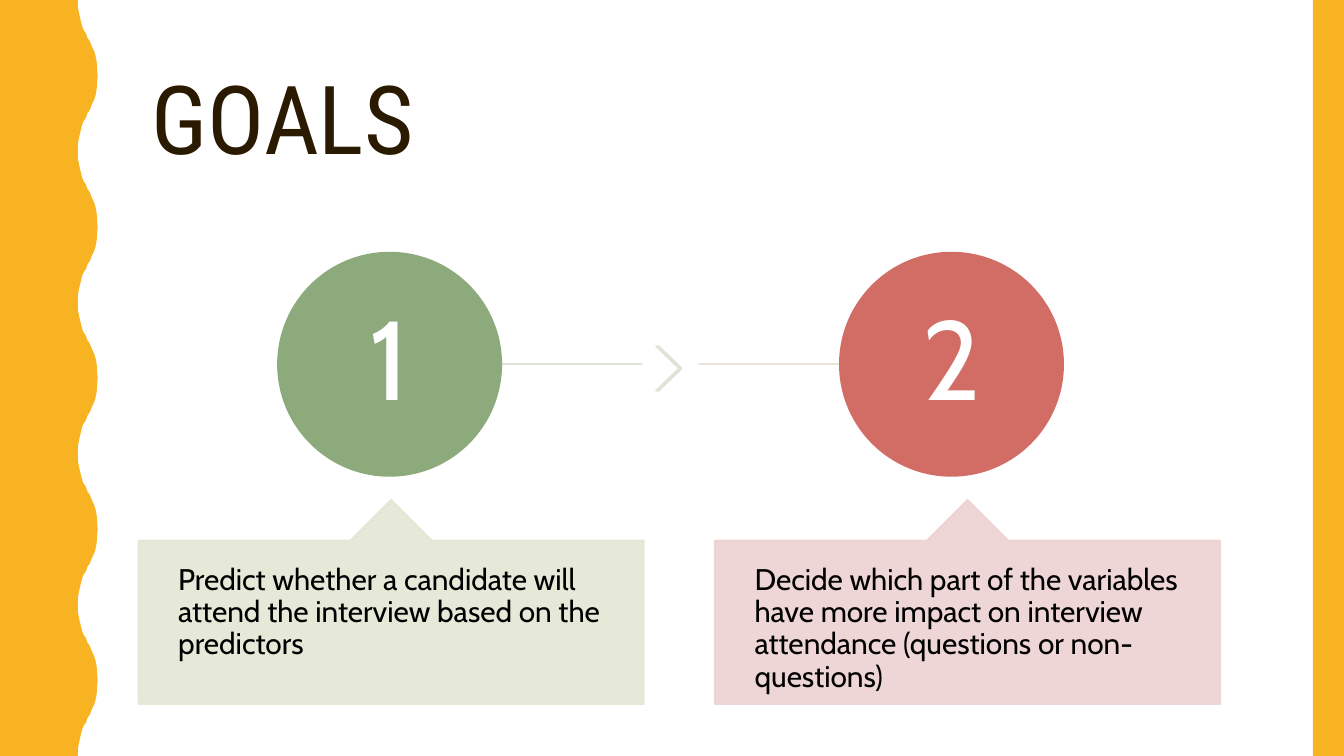
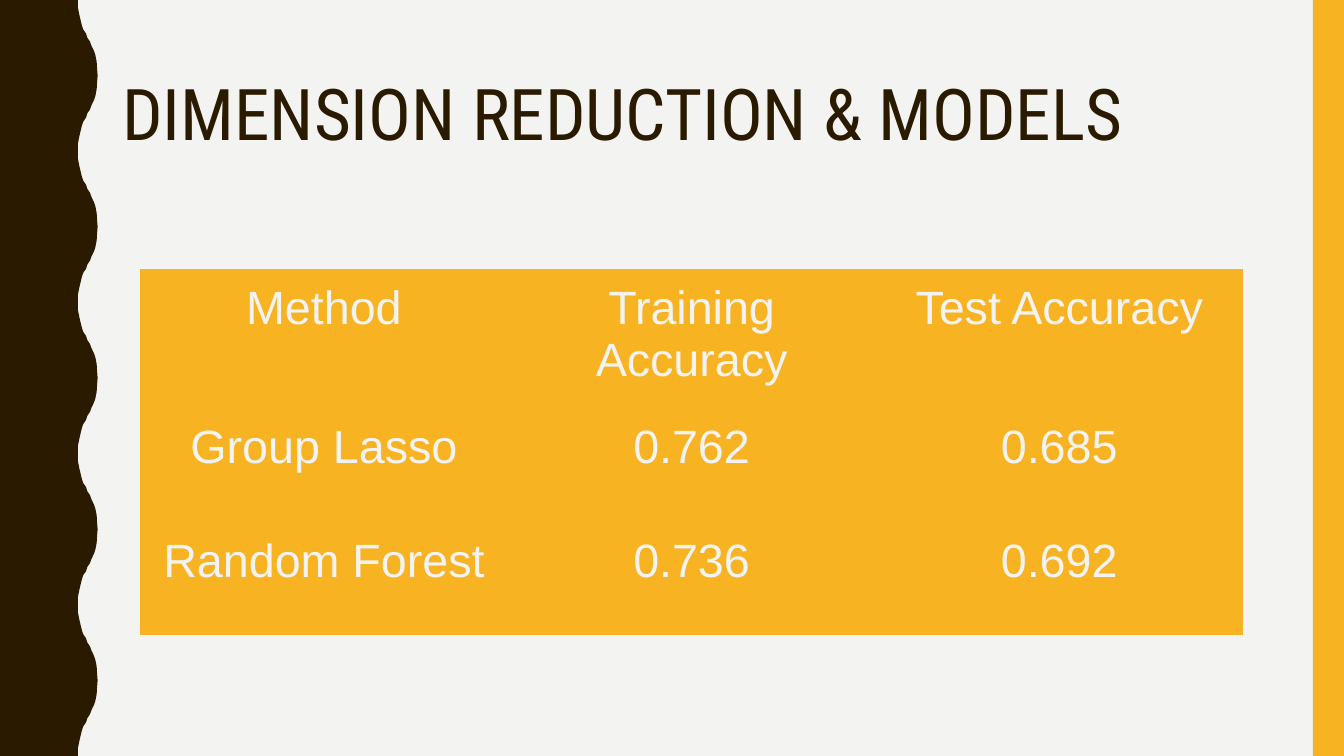
import lxml.etree
import pptx
import pptx.dml.color
import pptx.enum.shapes
import pptx.enum.text
import pptx.oxml.ns
import pptx.util

Pt = pptx.util.Pt
RGB = pptx.dml.color.RGBColor
SHAPE = pptx.enum.shapes.MSO_SHAPE
ANCHOR = pptx.enum.text.MSO_ANCHOR
ALIGN = pptx.enum.text.PP_ALIGN
qn = pptx.oxml.ns.qn

WHITE = RGB(0xFF, 0xFF, 0xFF)
BLACK = RGB(0, 0, 0)
BROWN = RGB(0x2A, 0x1A, 0x00)
AMBER = RGB(0xF8, 0xB3, 0x23)
PALE = RGB(0xF3, 0xF3, 0xF2)
GREEN = RGB(0x8C, 0xAA, 0x7C)
RED = RGB(0xD2, 0x6D, 0x66)
PALE_GREEN = RGB(0xE5, 0xE7, 0xD4)
PALE_RED = RGB(0xEE, 0xD2, 0xD2)
LINE_GREEN = RGB(0xDA, 0xE2, 0xD7)
LINE_SAND = RGB(0xE9, 0xE1, 0xD3)
CHEVRON = RGB(0xDD, 0xE4, 0xD5)

TITLE_FONT = "Roboto Condensed"
BODY_FONT = "Cabin"
TABLE_FONT = "Arial"

W, H = 720, 405
BAR_W = 16.7
WAVE_COUNT = 5
WAVE_H = H / WAVE_COUNT
HALF_WAVE = [(41.8, 0), (41.8, 4.3), (42.5, 7.9), (43.2, 10.8), (43.9, 13.7),
             (44.6, 15.8), (46.1, 18), (46.8, 20.2), (48.2, 22.3), (49, 24.5),
             (50.4, 27.4), (51.1, 29.5), (51.8, 33.1), (52, 36.7), (52.3, 40.5)]

GOALS = [
    dict(number="1", color=GREEN, pale=PALE_GREEN, circle=149, box=74.2,
         text="Predict whether a candidate will attend the interview "
              "based on the predictors"),
    dict(number="2", color=RED, pale=PALE_RED, circle=450, box=383,
         text="Decide which part of the variables have more impact on "
              "interview attendance (questions or non-questions)"),
]
LINKS = [(224, 344, LINE_GREEN), (374.4, 509.8, LINE_SAND)]
LINK_Y = 195
CIRCLE_Y, CIRCLE_D, NUMBER_PAD = 135.4, 119.5, 17.3
BOX_Y, BOX_W, BOX_H, POINTER_H = 267.8, 270.7, 109.4, 21.9

RESULTS = [
    ("Method", "Training Accuracy", "Test Accuracy"),
    ("Group Lasso", "0.762", "0.685"),
    ("Random Forest", "0.736", "0.692"),
]
COL_W, ROW_H = 197, 61


def fade(s):
    for clr in s.element.iter(qn("a:srgbClr")):
        lxml.etree.SubElement(clr, qn("a:alpha"), val="90000")


def add_shape(slide, kind, x, y, w, h, color, outline=True):
    s = slide.shapes.add_shape(kind, Pt(x), Pt(y), Pt(w), Pt(h))
    paint(s, color, outline)
    return s


def paint(s, color, outline):
    s.shadow.inherit = False
    s.fill.solid()
    s.fill.fore_color.rgb = color
    if outline:
        s.line.color.rgb = color
        s.line.width = Pt(1)
    else:
        s.line.fill.background()


def style(p, font, size, color, align=None):
    p.alignment = align
    for r in p.runs:
        r.font.name = font
        r.font.size = Pt(size)
        r.font.color.rgb = color


def add_text(slide, text, x, y, w, h, font, size, color, pads,
             anchor=ANCHOR.TOP, align=None):
    tf = slide.shapes.add_textbox(Pt(x), Pt(y), Pt(w), Pt(h)).text_frame
    tf.word_wrap = True
    tf.vertical_anchor = anchor
    tf.margin_left, tf.margin_top = Pt(pads[0]), Pt(pads[1])
    tf.margin_right, tf.margin_bottom = Pt(pads[2]), Pt(pads[3])
    tf.text = text
    p = tf.paragraphs[0]
    p.line_spacing = 0.9
    style(p, font, size, color, align)


def add_title(slide, text, x, y, w, h, size, pads, anchor):
    add_text(slide, text, x, y, w, h, TITLE_FONT, size, BROWN, pads, anchor)


def add_base(prs, background, band):
    slide = prs.slides.add_slide(prs.slide_layouts[6])
    slide.background.fill.solid()
    slide.background.fill.fore_color.rgb = background
    wave = HALF_WAVE + [(x, WAVE_H - y) for x, y in HALF_WAVE[-2::-1]]
    edge = [(x, y + i * WAVE_H) for i in range(WAVE_COUNT) for x, y in wave]
    fb = slide.shapes.build_freeform(0, 0, scale=1.0)
    fb.add_line_segments([(Pt(x), Pt(y)) for x, y in edge + [(0, H)]])
    paint(fb.convert_to_shape(), band, False)
    add_shape(slide, SHAPE.RECTANGLE, W - BAR_W, 0, BAR_W, H, AMBER, False)
    return slide


def add_link(slide, x1, x2, color):
    c = slide.shapes.add_connector(
        pptx.enum.shapes.MSO_CONNECTOR.STRAIGHT,
        Pt(x1), Pt(LINK_Y), Pt(x2), Pt(LINK_Y))
    c.line.color.rgb = color
    c.line.width = Pt(1)
    lxml.etree.SubElement(c.element.spPr, qn("a:effectLst"))
    fade(c)


def add_goal(slide, goal):
    add_shape(slide, SHAPE.OVAL, goal["circle"], CIRCLE_Y,
              CIRCLE_D, CIRCLE_D, goal["color"])
    side = CIRCLE_D - 2 * NUMBER_PAD
    add_text(slide, goal["number"], goal["circle"] + NUMBER_PAD,
             CIRCLE_Y + NUMBER_PAD, side, side, BODY_FONT, 60, WHITE,
             (4.5,) * 4, ANCHOR.MIDDLE, ALIGN.CENTER)
    s = add_shape(slide, SHAPE.UP_ARROW_CALLOUT, goal["box"], BOX_Y,
                  BOX_W, BOX_H, goal["pale"])
    for i, value in enumerate((0.5, 0.2, 0.2, 1)):
        s.adjustments[i] = value
    fade(s)
    add_text(slide, goal["text"], goal["box"], BOX_Y + POINTER_H, BOX_W,
             BOX_H - POINTER_H, BODY_FONT, 16, BLACK, (21.3, 12.8, 21.3, 12.8))


def add_goals_slide(prs):
    slide = add_base(prs, WHITE, AMBER)
    add_title(slide, "GOALS", 74.2, 22.3, 601, 87.8, 51,
              (7.2, 3.6, 7.2, 3.6), ANCHOR.MIDDLE)
    for link in LINKS:
        add_link(slide, *link)
    s = add_shape(slide, SHAPE.CHEVRON, 351.5, 185.5, 13.7, 23.8, CHEVRON)
    s.adjustments[0] = 0.9
    fade(s)
    for goal in GOALS:
        add_goal(slide, goal)


def add_results_slide(prs):
    slide = add_base(prs, PALE, BROWN)
    add_title(slide, "DIMENSION REDUCTION & MODELS", 24.5, 35.3, 671, 45.4,
              38.2, (41, 7.2, 7.2, 7.2), ANCHOR.TOP)
    rows, cols = len(RESULTS), len(RESULTS[0])
    table = slide.shapes.add_table(rows, cols, Pt(75), Pt(144),
                                   Pt(COL_W * cols), Pt(ROW_H * rows)).table
    table.first_row = table.horz_banding = False
    for col in table.columns:
        col.width = Pt(COL_W)
    for row, values in zip(table.rows, RESULTS):
        row.height = Pt(ROW_H)
        for cell, value in zip(row.cells, values):
            cell.text = value
            cell.margin_left = cell.margin_right = Pt(7.2)
            cell.margin_top = cell.margin_bottom = Pt(7.2)
            style(cell.text_frame.paragraphs[0], TABLE_FONT, 25, PALE,
                  ALIGN.CENTER)
            tc_pr = cell._tc.get_or_add_tcPr()
            for side in ("a:lnL", "a:lnR", "a:lnT", "a:lnB"):
                ln = lxml.etree.SubElement(tc_pr, qn(side))
                lxml.etree.SubElement(ln, qn("a:noFill"))
            cell.fill.solid()
            cell.fill.fore_color.rgb = AMBER


def main():
    prs = pptx.Presentation()
    prs.slide_width, prs.slide_height = Pt(W), Pt(H)
    add_goals_slide(prs)
    add_results_slide(prs)
    prs.save("out.pptx")


if __name__ == "__main__":
    main()
